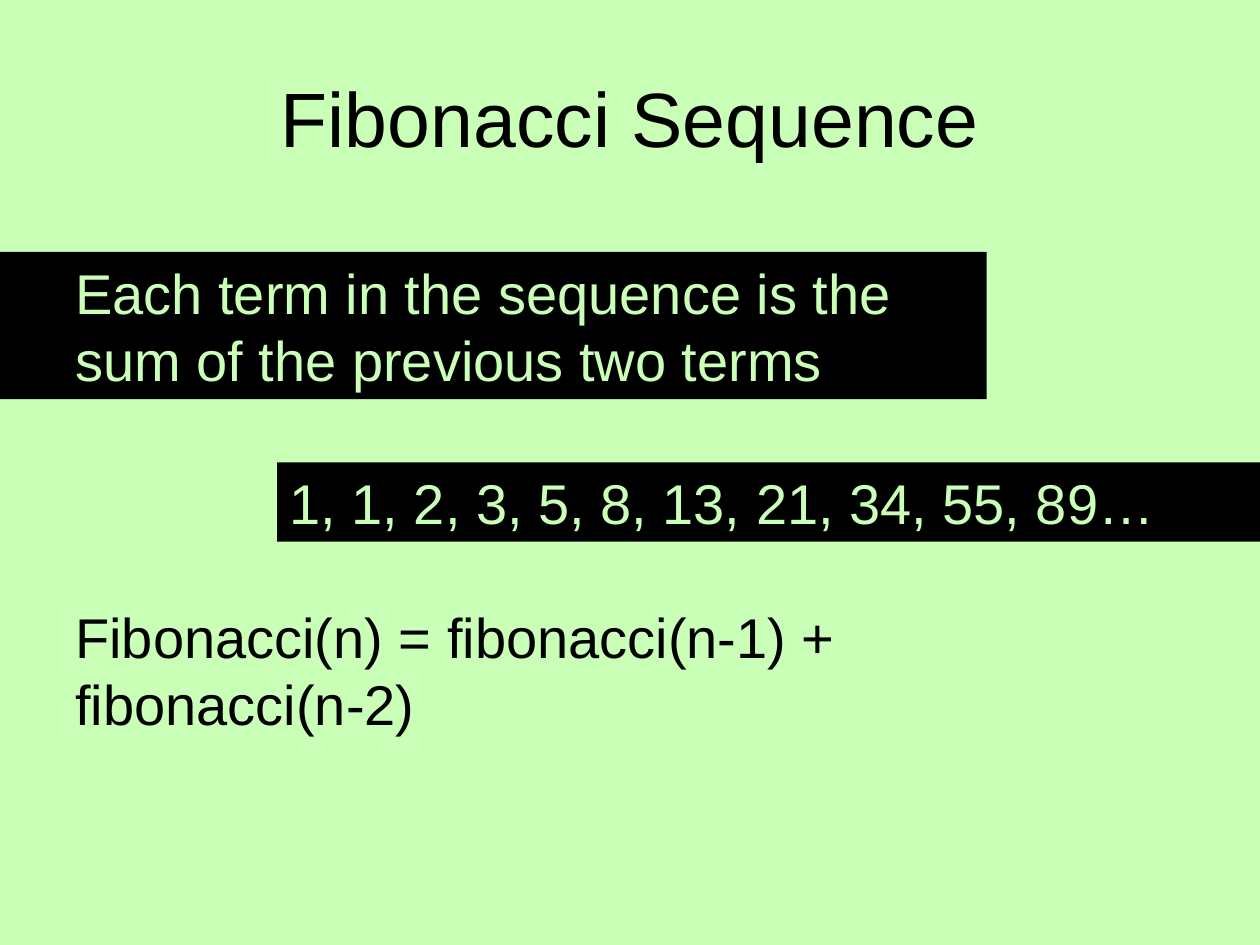
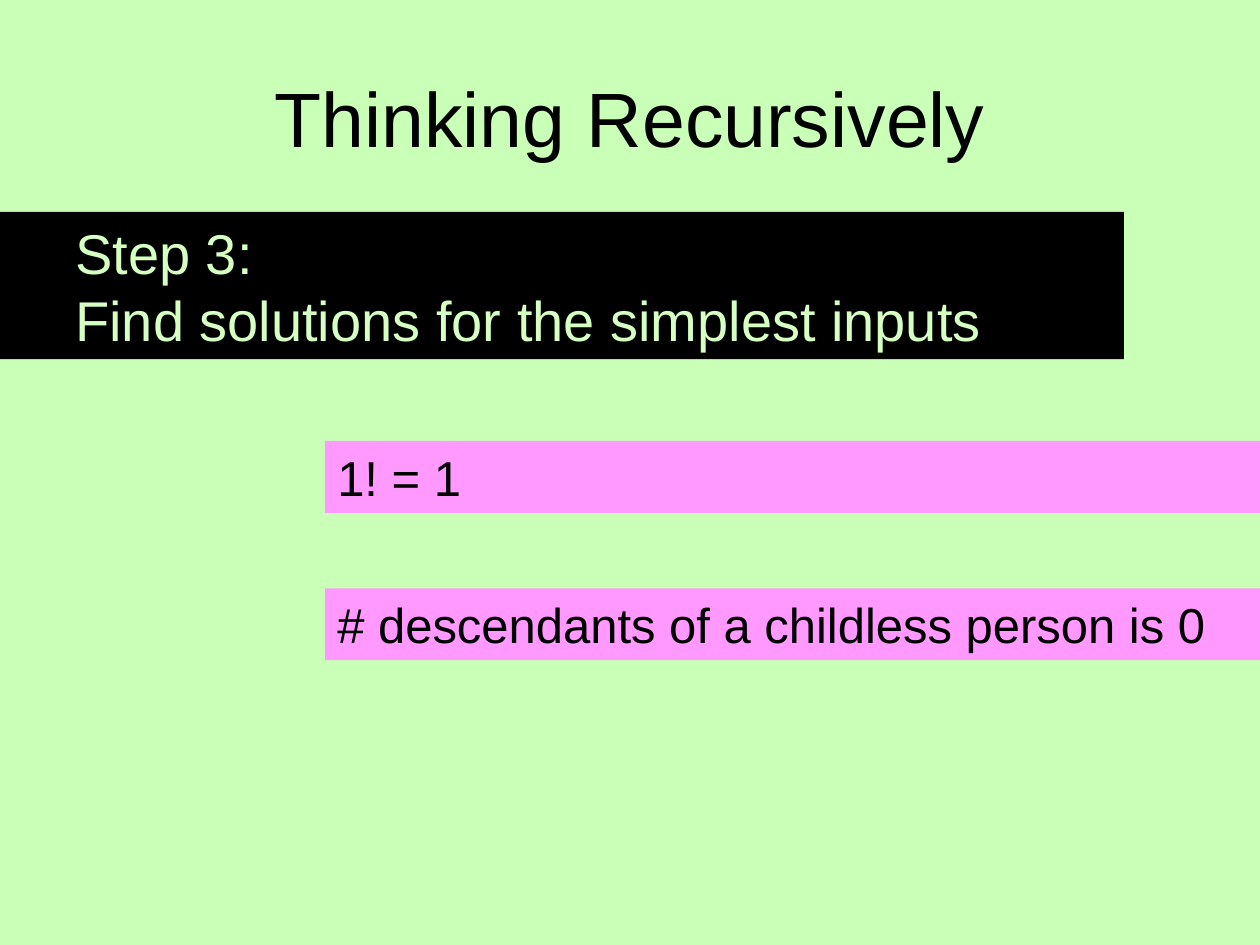
from dataclasses import dataclass
from typing import Optional

from pptx import Presentation
from pptx import slide as sl
from pptx import util as u
from pptx.dml.color import RGBColor as Rgb
from pptx.enum import shapes, text


@dataclass(frozen=True)
class Theme:
    font: str = "Arial"
    mint: str = "CAFFB8"
    pale: str = "D6FFC2"
    ink: str = "000000"
    pink: str = "FF99FF"
    head: int = 44
    body: int = 32
    note: int = 28


@dataclass(frozen=True)
class Band:
    words: str
    left: float
    top: float
    width: float
    height: float
    size: int
    color: str
    fill: Optional[str] = None
    inset: float = 0.25
    align: text.PP_ALIGN = text.PP_ALIGN.LEFT


THEME = Theme()
WIDE, HIGH = 25.4, 19.05
EDGE = 1.27


def title(words: str) -> Band:
    return Band(words, EDGE, 0.76, WIDE - 2 * EDGE, 3.18, THEME.head, THEME.ink,
                align=text.PP_ALIGN.CENTER)


def lead(words: str, top: float, width: float, color: str) -> Band:
    return Band(words, 0, top, width, 2.97, THEME.body, color, THEME.ink,
                inset=EDGE + 0.25)


def tail(words: str, left: float, top: float, height: float, size: int,
         color: str, fill: str) -> Band:
    return Band(words, left, top, WIDE - left, height, size, color, fill)


def case(words: str, top: float) -> Band:
    return tail(words, 6.55, top, 1.45, THEME.note, THEME.ink, THEME.pink)


def draw(page: sl.Slide, band: Band) -> None:
    box = tuple(u.Cm(n) for n in (band.left, band.top, band.width, band.height))
    if band.fill:
        shape = page.shapes.add_shape(shapes.MSO_SHAPE.RECTANGLE, *box)
        shape.shadow.inherit = False
        shape.fill.solid()
        shape.fill.fore_color.rgb = Rgb.from_string(band.fill)
        shape.line.fill.background()
    else:
        shape = page.shapes.add_textbox(*box)
    frame = shape.text_frame
    frame.word_wrap = True
    frame.vertical_anchor = text.MSO_ANCHOR.MIDDLE
    frame.margin_left = u.Cm(band.inset)
    para = frame.paragraphs[0]
    para.text = band.words
    para.alignment = band.align
    para.font.name = THEME.font
    para.font.size = u.Pt(band.size)
    para.font.color.rgb = Rgb.from_string(band.color)


def build(deck, bands: list[Band]) -> None:
    page = deck.slides.add_slide(deck.slide_layouts[6])
    page.background.fill.solid()
    page.background.fill.fore_color.rgb = Rgb.from_string(THEME.mint)
    for band in bands:
        draw(page, band)


PAGES = [
    [
        title("Fibonacci Sequence"),
        lead("Each term in the sequence is the sum of the previous two terms",
             5.08, 19.89, THEME.mint),
        tail("1, 1, 2, 3, 5, 8, 13, 21, 34, 55, 89…", 5.59, 9.32, 1.6,
             THEME.body, THEME.mint, THEME.ink),
        Band("Fibonacci(n) = fibonacci(n-1) + fibonacci(n-2)", EDGE, 12.7,
             22.8, 1.6, THEME.body, THEME.ink),
    ],
    [
        title("Thinking Recursively"),
        lead("Step 3:\nFind solutions for the simplest inputs",
             4.27, 22.66, THEME.pale),
        case("1! = 1", 8.89),
        case("# descendants of a childless person is 0", 11.86),
    ],
]

deck = Presentation()
deck.slide_width, deck.slide_height = u.Cm(WIDE), u.Cm(HIGH)
for bands in PAGES:
    build(deck, bands)
deck.save("out.pptx")
